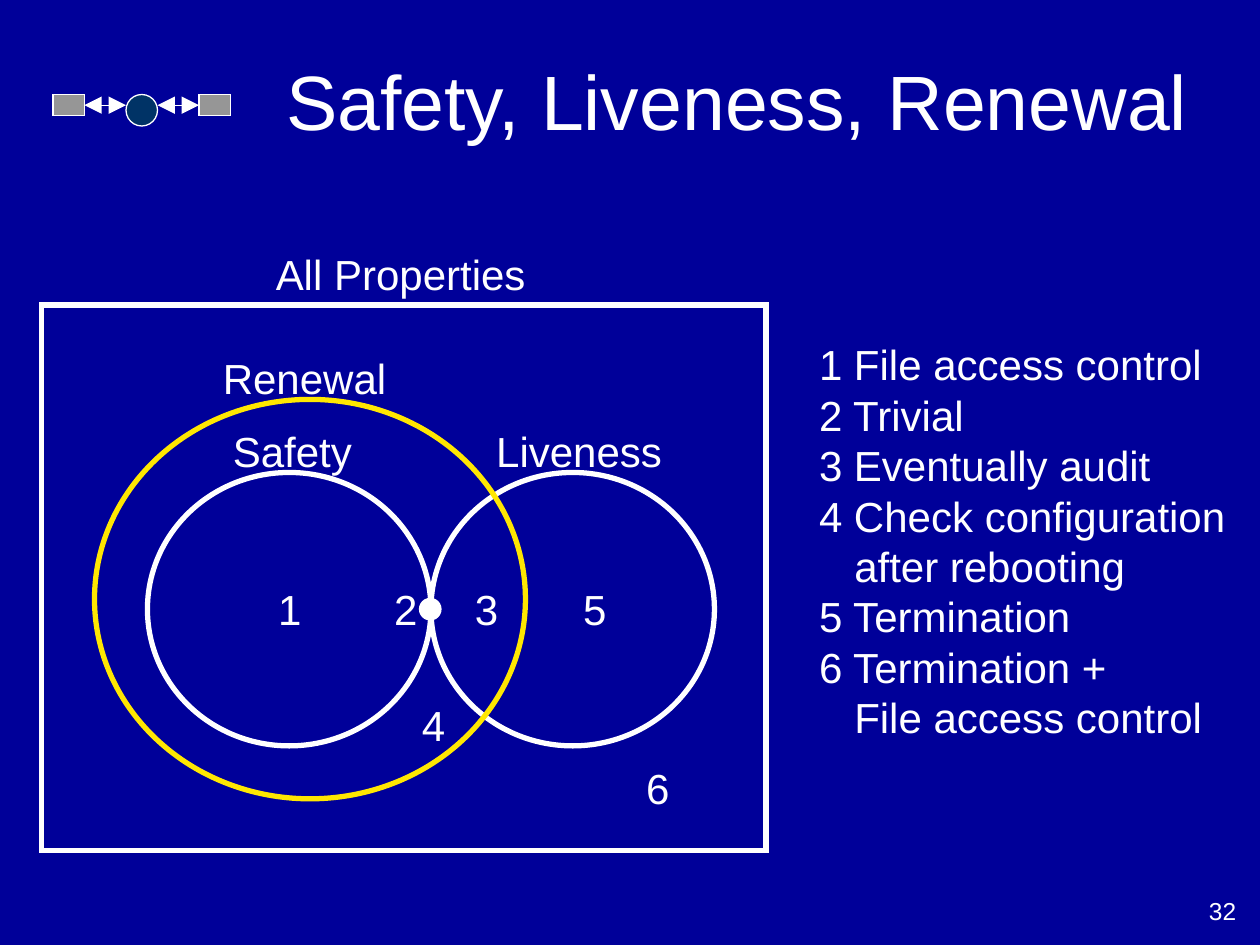
from pptx import Presentation
from pptx.dml.color import RGBColor
from pptx.enum.shapes import MSO_CONNECTOR, MSO_SHAPE
from pptx.enum.text import MSO_ANCHOR, MSO_AUTO_SIZE, PP_ALIGN
from pptx.oxml.ns import qn
from pptx.util import Inches, Pt
from lxml.etree import SubElement

NAVY = RGBColor(0x00, 0x00, 0x99)
WHITE = RGBColor(0xFF, 0xFF, 0xFF)
YELLOW = RGBColor(0xFF, 0xE7, 0x01)
GRAY = RGBColor(0x96, 0x96, 0x96)
TEAL = RGBColor(0x00, 0x33, 0x66)

TITLE = "Safety, Liveness, Renewal"
PAGE_NUMBER = "32"
EXAMPLES = [
    "1 File access control",
    "2 Trivial",
    "3 Eventually audit",
    "4 Check configuration\vafter rebooting",
    "5 Termination",
    "6 Termination +\vFile access control",
]
SET_LABELS = [
    ("All Properties", 2.09, 1.92, 2.25),
    ("Renewal", 1.67, 2.75, 1.6),
    ("Safety", 1.75, 3.33, 1.25),
    ("Liveness", 3.84, 3.33, 1.6),
]
REGION_NUMBERS = [
    ("1", 2.11, 4.58),
    ("2", 3.03, 4.58),
    ("3", 3.67, 4.58),
    ("4", 3.25, 5.5),
    ("5", 4.53, 4.58),
    ("6", 5.03, 6),
]
SETS = [
    (MSO_SHAPE.RECTANGLE, 0.33, 2.42, 5.75, 4.33, WHITE),
    (MSO_SHAPE.OVAL, 1.17, 3.75, 2.25, 2.17, WHITE),
    (MSO_SHAPE.OVAL, 3.42, 3.75, 2.25, 2.17, WHITE),
    (MSO_SHAPE.OVAL, 0.75, 3.17, 3.42, 3.17, YELLOW),
]
NUMBER_WIDTH = 0.4
LABEL_HEIGHT = 0.5
HANGING = Inches(0.28)


def place(shape, left, top, width, height):
    shape.left, shape.top = Inches(left), Inches(top)
    shape.width, shape.height = Inches(width), Inches(height)


def style(paragraph, size, align=PP_ALIGN.LEFT):
    paragraph.alignment = align
    paragraph.font.name = "Arial"
    paragraph.font.size = Pt(size)
    paragraph.font.color.rgb = WHITE


def add_outline(slide, kind, left, top, width, height, color, weight=3, fill=None):
    outline = slide.shapes.add_shape(
        kind, Inches(left), Inches(top), Inches(width), Inches(height))
    outline.shadow.inherit = False
    if fill is None:
        outline.fill.background()
    else:
        outline.fill.solid()
        outline.fill.fore_color.rgb = fill
    outline.line.color.rgb = color
    outline.line.width = Pt(weight)
    SubElement(outline.line._get_or_add_ln(), qn("a:miter"), lim="800000")
    return outline


def add_label(slide, text, left, top, width):
    label = slide.shapes.add_textbox(
        Inches(left), Inches(top), Inches(width), Inches(LABEL_HEIGHT))
    label.text_frame.word_wrap = True
    label.text_frame.text = text
    paragraph = label.text_frame.paragraphs[0]
    style(paragraph, 24)
    paragraph.line_spacing = Pt(28.8)


def add_double_arrow(slide, box, side, circle_x):
    y = Inches(0.83)
    arrow = slide.shapes.add_connector(
        MSO_CONNECTOR.STRAIGHT, box.left, y, Inches(circle_x), y)
    arrow.begin_connect(box, side)
    arrow.end_y = arrow.begin_y
    arrow.line.color.rgb = WHITE
    arrow.line.width = Pt(0.75)
    line = arrow.line._get_or_add_ln()
    for end in ("a:headEnd", "a:tailEnd"):
        SubElement(line, qn(end), type="triangle", w="lg", len="lg")
    SubElement(arrow._element.spPr, qn("a:effectLst"))


def add_emblem(slide):
    left_box, right_box = [
        add_outline(slide, MSO_SHAPE.RECTANGLE, x, 0.75, 0.25, 0.17, WHITE, 0.75, GRAY)
        for x in (0.42, 1.58)]
    add_outline(slide, MSO_SHAPE.OVAL, 1, 0.75, 0.25, 0.25, WHITE, 0.75, TEAL)
    add_double_arrow(slide, left_box, 3, 1)
    add_double_arrow(slide, right_box, 1, 1.25)


def fill_title(title):
    place(title, 2.17, 0.17, 7.5, 1.25)
    frame = title.text_frame
    frame.text = TITLE
    frame.vertical_anchor = MSO_ANCHOR.MIDDLE
    frame.auto_size = MSO_AUTO_SIZE.NONE
    style(frame.paragraphs[0], 44)


def fill_examples(body):
    place(body, 6.4, 2.64, 3.51, 3.3)
    frame = body.text_frame
    frame.word_wrap = False
    frame.auto_size = MSO_AUTO_SIZE.NONE
    frame.text = "\n".join(EXAMPLES)
    for paragraph in frame.paragraphs:
        style(paragraph, 24)
        paragraph.line_spacing = Pt(28.8)
        paragraph.space_before = Pt(0)
        properties = paragraph._p.get_or_add_pPr()
        properties.set("marL", str(HANGING))
        properties.set("indent", str(-HANGING))
        SubElement(properties, qn("a:buNone"))
        properties.append(properties.find(qn("a:defRPr")))


def main():
    deck = Presentation()
    deck.slide_width, deck.slide_height = Inches(10), Inches(7.5)
    slide = deck.slides.add_slide(deck.slide_layouts[1])
    slide.background.fill.solid()
    slide.background.fill.fore_color.rgb = NAVY

    add_emblem(slide)
    fill_title(slide.shapes.title)
    for venn_set in SETS:
        add_outline(slide, *venn_set)
    for label in SET_LABELS:
        add_label(slide, *label)
    for number in REGION_NUMBERS:
        add_label(slide, *number, NUMBER_WIDTH)
    fill_examples(slide.placeholders[1])
    add_outline(slide, MSO_SHAPE.OVAL, 3.33, 4.75, 0.17, 0.17, WHITE, 0.75, WHITE)

    page = slide.shapes.add_textbox(
        Inches(7.58), Inches(7.06), Inches(2.33), Inches(0.52))
    page.text_frame.word_wrap = True
    page.text_frame.text = PAGE_NUMBER
    style(page.text_frame.paragraphs[0], 14, PP_ALIGN.RIGHT)

    deck.save("out.pptx")


if __name__ == "__main__":
    main()
